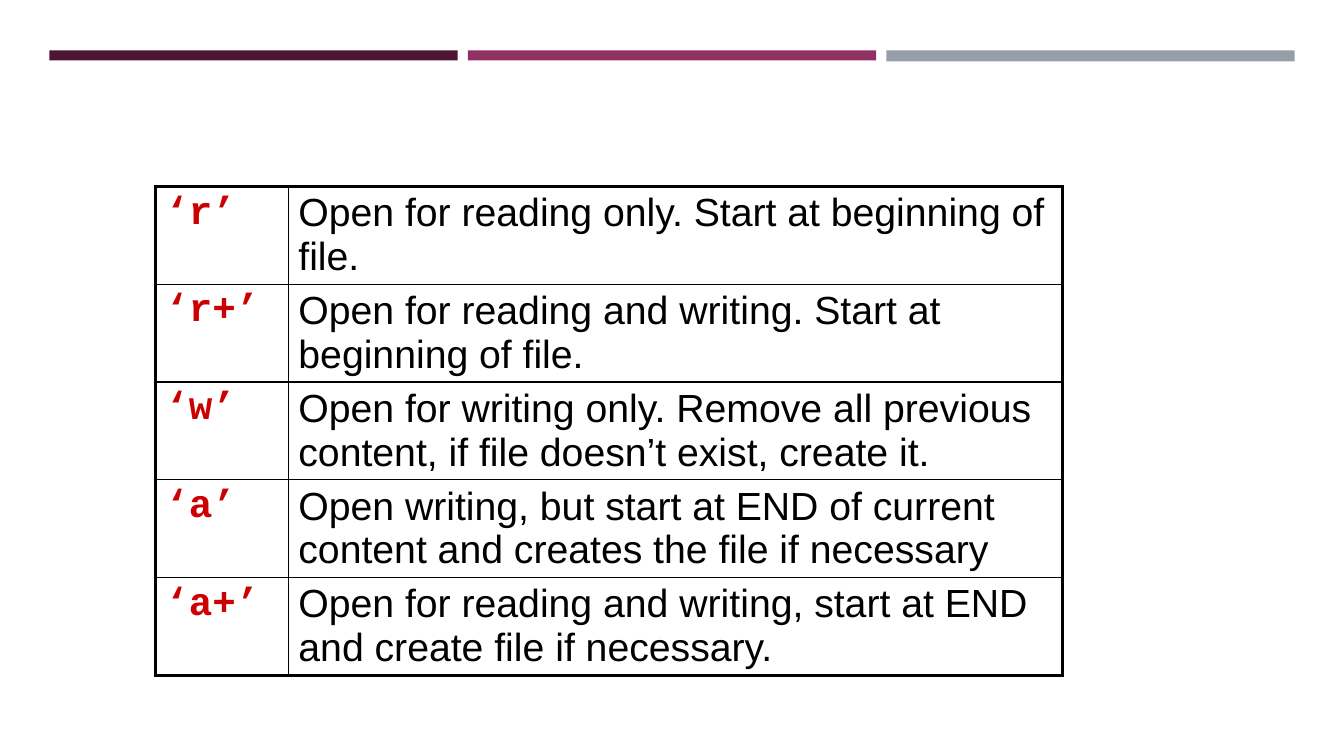
"""Build a slide with a table of file opening modes."""
import dataclasses

import lxml.etree
import pptx
import pptx.dml.color
import pptx.enum.shapes
import pptx.oxml.ns
import pptx.util

Inches = pptx.util.Inches
COLORS = {"plum": "4D1434", "magenta": "903163", "gray": "969FA7",
          "mode": "CC0000", "ink": "000000"}
OUTER_BORDER, INNER_BORDER = 2.25, 1


@dataclasses.dataclass(frozen=True)
class Band:
    color: str
    height: float


@dataclasses.dataclass(frozen=True)
class FileMode:
    mode: str
    meaning: str


BANDS = [Band("plum", 0.1), Band("magenta", 0.1), Band("gray", 0.11)]
FILE_MODES = [
    FileMode("‘r’", "Open for reading only. Start at beginning of file."),
    FileMode("‘r+’", "Open for reading and writing. Start at beginning of file."),
    FileMode("‘w’", "Open for writing only. Remove all previous content, "
                    "if file doesn’t exist, create it."),
    FileMode("‘a’", "Open writing, but start at END of current content "
                    "and creates the file if necessary"),
    FileMode("‘a+’", "Open for reading and writing, start at END "
                     "and create file if necessary."),
]


def rgb(color: str) -> pptx.dml.color.RGBColor:
    return pptx.dml.color.RGBColor.from_string(COLORS[color])


def write_text(frame, text: str, *, font: str, color: str,
               bold: bool = False, size: float = 28) -> None:
    run = frame.paragraphs[0].add_run()
    run.text = text
    run.font.name = font
    run.font.size = pptx.util.Pt(size)
    run.font.bold = bold
    run.font.color.rgb = rgb(color)


def draw_band(slide, band: Band, position: int) -> None:
    bar = slide.shapes.add_shape(
        pptx.enum.shapes.MSO_SHAPE.RECTANGLE, Inches(0.49 + 4.15 * position),
        Inches(0.5), Inches(4.05), Inches(band.height))
    bar.shadow.inherit = False
    bar.fill.solid()
    bar.fill.fore_color.rgb = rgb(band.color)
    bar.line.fill.background()


def set_borders(cell, outer_sides: dict[str, bool]) -> None:
    qn = pptx.oxml.ns.qn
    properties = cell._tc.get_or_add_tcPr()
    for order, (side, is_outer) in enumerate(outer_sides.items()):
        width = pptx.util.Pt(OUTER_BORDER if is_outer else INNER_BORDER)
        border = lxml.etree.Element(qn(f"a:ln{side}"), w=str(width))
        fill = lxml.etree.SubElement(border, qn("a:solidFill"))
        lxml.etree.SubElement(fill, qn("a:srgbClr"), val=COLORS["ink"])
        properties.insert(order, border)


def draw_modes(slide, modes: list[FileMode]) -> None:
    widths, row_height = [1.32, 7.68], 0.97
    table = slide.shapes.add_table(
        len(modes), len(widths), Inches(1.54), Inches(1.85),
        Inches(sum(widths)), Inches(row_height * len(modes))).table
    table.first_row = table.horz_banding = False
    for column, width in zip(table.columns, widths):
        column.width = Inches(width)
    for index, entry in enumerate(modes):
        table.rows[index].height = Inches(row_height)
        mode, meaning = table.cell(index, 0), table.cell(index, 1)
        write_text(mode.text_frame, entry.mode,
                   font="Courier New", color="mode", bold=True)
        write_text(meaning.text_frame, entry.meaning, font="Arial", color="ink")
        for cell in (mode, meaning):
            cell.fill.background()
            set_borders(cell, {"L": cell is mode, "R": cell is meaning,
                               "T": index == 0, "B": index == len(modes) - 1})


def main() -> None:
    presentation = pptx.Presentation()
    presentation.slide_width = Inches(13.33)
    presentation.slide_height = Inches(7.5)
    slide = presentation.slides.add_slide(presentation.slide_layouts[6])
    for position, band in enumerate(BANDS):
        draw_band(slide, band, position)
    draw_modes(slide, FILE_MODES)
    presentation.save("out.pptx")


if __name__ == "__main__":
    main()
